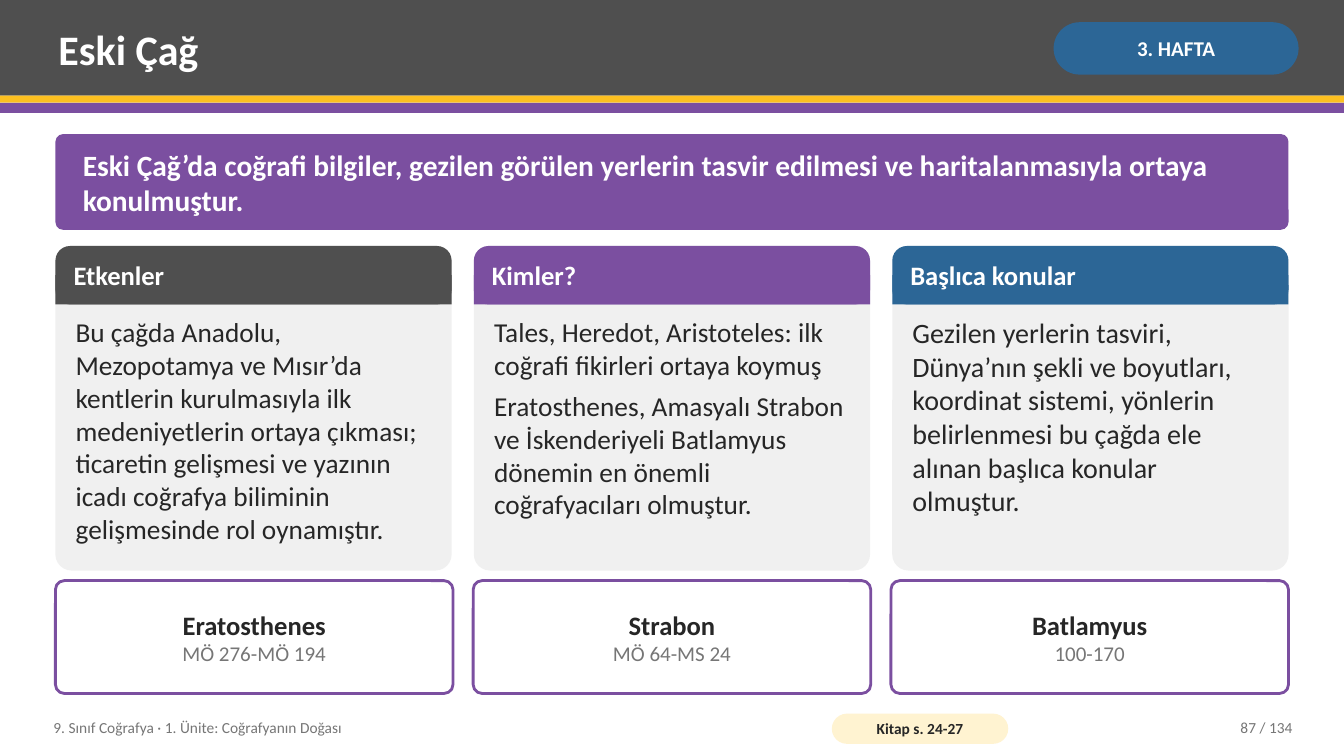
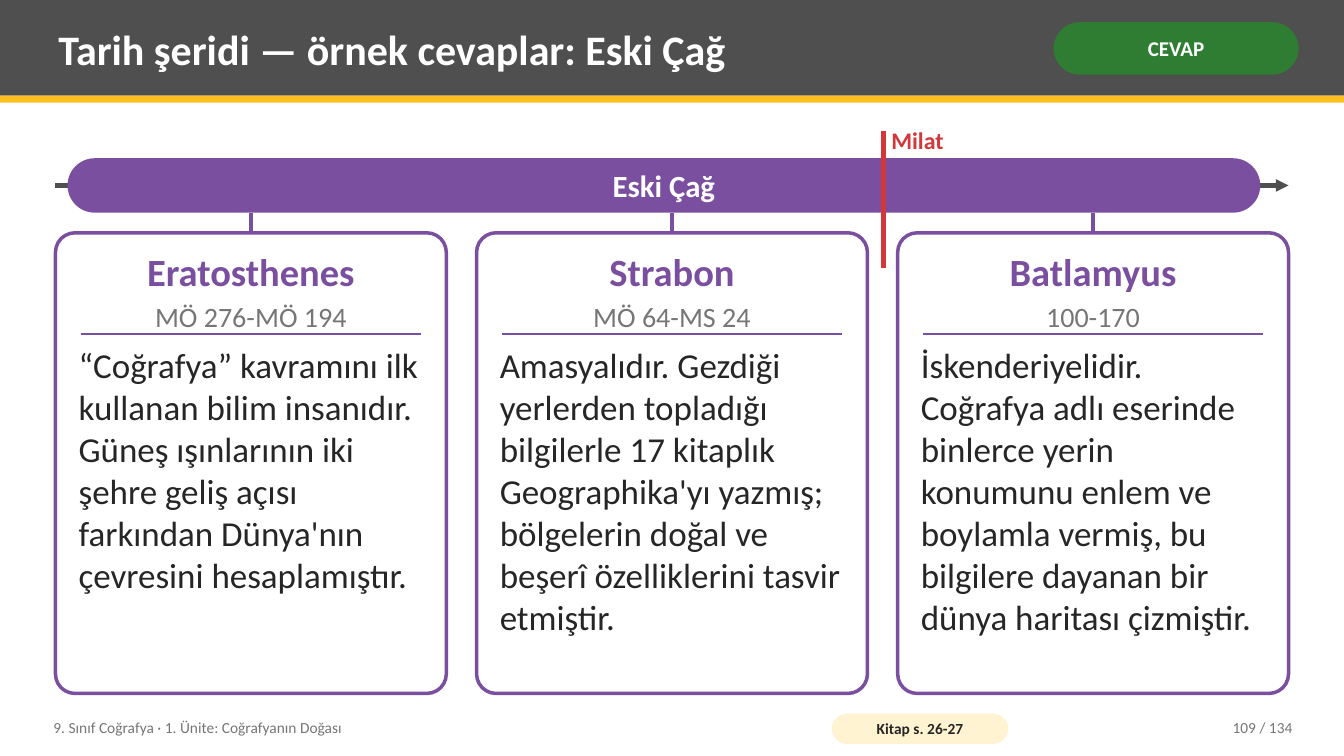
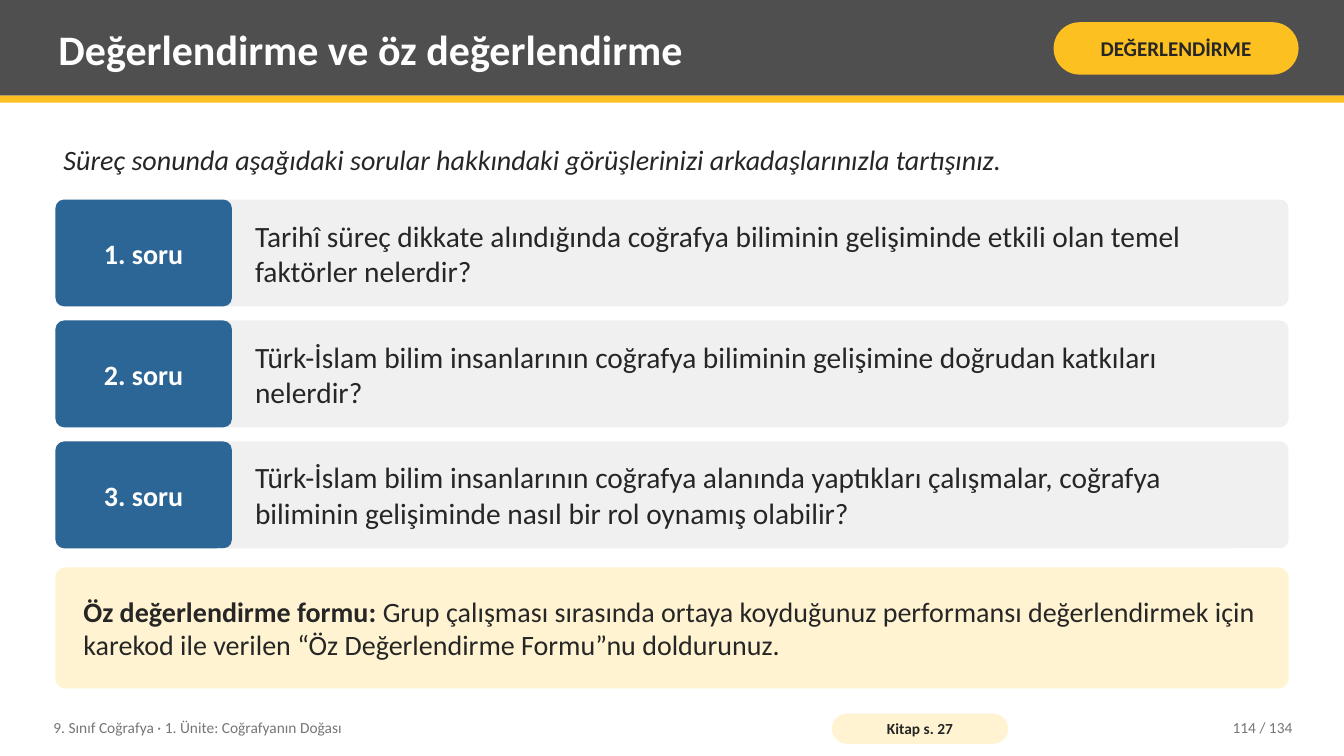
from pptx import Presentation
from pptx.dml.color import RGBColor
from pptx.enum.shapes import MSO_CONNECTOR as Connector, MSO_SHAPE as Preset
from pptx.enum.text import MSO_ANCHOR as Anchor, PP_ALIGN as Align
from pptx.oxml.ns import qn
from pptx.util import Inches, Pt
from lxml.etree import SubElement

COLORS = {
    "gray": "4F4F4F", "yellow": "FCC021", "purple": "7B4FA0", "blue": "2C6696",
    "green": "2E7D32", "red": "D3373A", "white": "FFFFFF", "ink": "262626",
    "muted": "767676", "panel": "F0F0F0", "cream": "FFF3D1",
}
FONT = "Calibri"
WIDTH, HEIGHT = 13.33, 7.5
LEFT, SPAN = 0.55, 12.23
UNIT = "9. Sınıf Coğrafya · 1. Ünite: Coğrafyanın Doğası"
PAGE_TOTAL = 134
SCHOLARS = [
    ("Eratosthenes", "MÖ 276-MÖ 194"),
    ("Strabon", "MÖ 64-MS 24"),
    ("Batlamyus", "100-170"),
]


def color(name):
    return RGBColor.from_string(COLORS[name])


def columns(gap, count=3):
    width = (SPAN - gap * (count - 1)) / count
    return [(LEFT + index * (width + gap), width) for index in range(count)]


class Lesson:
    """Holds the lesson style and the page being drawn."""

    def __init__(self):
        self.deck = Presentation()
        self.deck.slide_width = Inches(WIDTH)
        self.deck.slide_height = Inches(HEIGHT)
        self.page = None

    def start(self, title, tag, tag_fill, book_pages, number, tag_color="white"):
        self.page = self.deck.slides.add_slide(self.deck.slide_layouts[6])
        self.shape(0, 0, WIDTH, 0.95, "gray")
        self.shape(0, 0.95, WIDTH, 0.07, "yellow")
        self.text(0.5, 0.07, 9.75, 0.82, title, 30, "white", bold=True)
        badge = self.shape(10.45, 0.22, 2.43, 0.52, tag_fill, 0.5)
        self.label(badge, tag, 15, tag_color, bold=True, align=Align.CENTER, inset=(0.05, 0.02))
        self.text(0.45, 7.04, 7.6, 0.36, UNIT, 11, "muted")
        source = self.shape(8.25, 7.08, 1.75, 0.3, "cream", 0.5)
        self.label(source, f"Kitap s. {book_pages}", 11, "ink", bold=True,
                   align=Align.CENTER, inset=(0.04, 0))
        self.text(11.3, 7.04, 1.6, 0.36, f"{number} / {PAGE_TOTAL}", 11, "muted", align=Align.RIGHT)

    def shape(self, left, top, width, height, fill, radius=None, line=None, weight=2):
        preset = Preset.RECTANGLE if radius is None else Preset.ROUNDED_RECTANGLE
        box = self.page.shapes.add_shape(
            preset, Inches(left), Inches(top), Inches(width), Inches(height))
        box.shadow.inherit = False
        if radius is not None:
            box.adjustments[0] = radius
        box.fill.solid()
        box.fill.fore_color.rgb = color(fill)
        if line:
            box.line.color.rgb = color(line)
            box.line.width = Pt(weight)
        else:
            box.line.fill.background()
        return box

    def text(self, left, top, width, height, content, size, ink, **options):
        box = self.page.shapes.add_textbox(
            Inches(left), Inches(top), Inches(width), Inches(height))
        return self.label(box, content, size, ink, **options)

    def label(self, box, content, size, ink, bold=False, italic=False, align=Align.LEFT,
              anchor=Anchor.MIDDLE, inset=(0.08, 0.04), space_after=0):
        frame = box.text_frame
        frame.text = content
        frame.word_wrap = True
        frame.vertical_anchor = anchor
        frame.margin_left = frame.margin_right = Inches(inset[0])
        frame.margin_top = frame.margin_bottom = Inches(inset[1])
        for para in frame.paragraphs:
            para.alignment = align
            for span in para.runs:
                self.style(span, size, ink, bold, italic)
        for para in frame.paragraphs[:-1]:
            para.space_after = Pt(space_after)
        return box

    def style(self, span, size, ink, bold=False, italic=False):
        span.font.name = FONT
        span.font.size = Pt(size)
        span.font.bold = bold
        span.font.italic = italic
        span.font.color.rgb = color(ink)

    def line(self, start, end, ink, weight, arrow=False):
        connector = self.page.shapes.add_connector(
            Connector.STRAIGHT, *(Inches(value) for value in (*start, *end)))
        connector.line.color.rgb = color(ink)
        connector.line.width = Pt(weight)
        properties = connector._element.spPr
        if arrow:
            SubElement(properties.find(qn("a:ln")), qn("a:tailEnd"), type="triangle")
        SubElement(properties, qn("a:effectLst"))

    def panel(self, left, width, heading, fill, body, size):
        top, head = 2.44, 0.58
        self.shape(left, top, width, 3.22, "panel", 0.05)
        self.shape(left, top, width, head, fill, 0.25)
        self.shape(left, top + head / 2, width, head / 2, fill)
        self.text(left + 0.1, top, width - 0.2, head, heading, 19, "white", bold=True)
        self.text(left + 0.12, 3.09, width - 0.24, 2.48, body, size, "ink",
                  anchor=Anchor.TOP, space_after=5.8)

    def name_card(self, left, width, name, years):
        card = self.shape(left, 5.76, width, 1.12, "white", 0.08, "purple")
        self.label(card, f"{name}\n{years}", 19, "ink", bold=True,
                   align=Align.CENTER, inset=(0.14, 0.08))
        self.style(card.text_frame.paragraphs[1].runs[0], 15, "muted")

    def scholar(self, left, width, name, years, body):
        top, center = 2.31, left + width / 2
        self.line((center, 2.11), (center, top), "purple", 2.5)
        self.shape(left, top, width, 4.57, "white", 0.05, "purple", 2.5)
        self.text(left + 0.1, 2.41, width - 0.2, 0.55, name, 27.5, "purple",
                  bold=True, align=Align.CENTER, inset=(0.08, 0))
        self.text(left + 0.1, 2.96, width - 0.2, 0.36, years, 20, "muted",
                  align=Align.CENTER, inset=(0.08, 0))
        self.line((left + 0.25, 3.31), (left + width - 0.25, 3.31), "purple", 1.5)
        self.text(left + 0.15, 3.39, width - 0.3, 3.39, body, 25, "ink",
                  anchor=Anchor.TOP, inset=(0.08, 0.02))

    def question(self, top, heading, body):
        height = 1.06
        self.shape(LEFT, top, SPAN, height, "panel", 0.08)
        tab = self.shape(LEFT, top, 1.75, height, "blue", 0.08)
        self.label(tab, heading, 20, "white", bold=True, align=Align.CENTER, inset=(0.06, 0.08))
        self.text(2.45, top, 10.23, height, body, 21, "ink")


def ancient_age(lesson):
    lesson.start("Eski Çağ", "3. HAFTA", "blue", "24-27", 87)
    lesson.shape(0, 1.02, WIDTH, 0.1, "purple")
    banner = lesson.shape(LEFT, 1.33, SPAN, 0.95, "purple", 0.08)
    lesson.label(banner, "Eski Çağ’da coğrafi bilgiler, gezilen görülen yerlerin tasvir edilmesi "
                 "ve haritalanmasıyla ortaya konulmuştur.", 21, "white", bold=True,
                 inset=(0.25, 0.08))
    panels = [
        ("Etkenler", "gray",
         "Bu çağda Anadolu, Mezopotamya ve Mısır’da kentlerin kurulmasıyla ilk medeniyetlerin "
         "ortaya çıkması; ticaretin gelişmesi ve yazının icadı coğrafya biliminin gelişmesinde "
         "rol oynamıştır.", 19.5),
        ("Kimler?", "purple",
         "Tales, Heredot, Aristoteles: ilk coğrafi fikirleri ortaya koymuş\n"
         "Eratosthenes, Amasyalı Strabon ve İskenderiyeli Batlamyus dönemin en önemli "
         "coğrafyacıları olmuştur.", 19.5),
        ("Başlıca konular", "blue",
         "Gezilen yerlerin tasviri, Dünya’nın şekli ve boyutları, koordinat sistemi, yönlerin "
         "belirlenmesi bu çağda ele alınan başlıca konular olmuştur.", 20),
    ]
    for column, panel in zip(columns(0.22), panels):
        lesson.panel(*column, *panel)
    for column, scholar in zip(columns(0.2), SCHOLARS):
        lesson.name_card(*column, *scholar)


def timeline(lesson):
    lesson.start("Tarih şeridi — örnek cevaplar: Eski Çağ", "CEVAP", "green", "26-27", 109)
    lesson.line((LEFT, 1.84), (LEFT + SPAN, 1.84), "gray", 3, arrow=True)
    era = lesson.shape(0.67, 1.57, 11.83, 0.54, "purple", 0.5)
    lesson.label(era, "Eski Çağ", 22, "white", bold=True, align=Align.CENTER, inset=(0.14, 0))
    works = [
        "“Coğrafya” kavramını ilk kullanan bilim insanıdır. Güneş ışınlarının iki şehre geliş "
        "açısı farkından Dünya'nın çevresini hesaplamıştır.",
        "Amasyalıdır. Gezdiği yerlerden topladığı bilgilerle 17 kitaplık Geographika'yı yazmış; "
        "bölgelerin doğal ve beşerî özelliklerini tasvir etmiştir.",
        "İskenderiyelidir. Coğrafya adlı eserinde binlerce yerin konumunu enlem ve boylamla "
        "vermiş, bu bilgilere dayanan bir dünya haritası çizmiştir.",
    ]
    for column, scholar, work in zip(columns(0.3), SCHOLARS, works):
        lesson.scholar(*column, *scholar, work)
    lesson.line((8.76, 1.3), (8.76, 2.66), "red", 3.5)
    lesson.text(8.84, 1.24, 1.1, 0.3, "Milat", 17, "red", bold=True, inset=(0, 0))


def evaluation(lesson):
    lesson.start("Değerlendirme ve öz değerlendirme", "DEĞERLENDİRME", "yellow", "27", 114, "ink")
    lesson.text(LEFT, 1.28, SPAN, 0.6, "Süreç sonunda aşağıdaki sorular hakkındaki görüşlerinizi "
                "arkadaşlarınızla tartışınız.", 20, "ink", italic=True)
    questions = [
        "Tarihî süreç dikkate alındığında coğrafya biliminin gelişiminde etkili olan temel "
        "faktörler nelerdir?",
        "Türk-İslam bilim insanlarının coğrafya biliminin gelişimine doğrudan katkıları nelerdir?",
        "Türk-İslam bilim insanlarının coğrafya alanında yaptıkları çalışmalar, coğrafya "
        "biliminin gelişiminde nasıl bir rol oynamış olabilir?",
    ]
    for index, body in enumerate(questions):
        lesson.question(1.98 + index * 1.2, f"{index + 1}. soru", body)
    form = lesson.shape(LEFT, 5.63, SPAN, 1.2, "cream", 0.08)
    lesson.label(form, "Öz değerlendirme formu:", 20, "ink", bold=True, inset=(0.25, 0.08))
    span = form.text_frame.paragraphs[0].add_run()
    span.text = (" Grup çalışması sırasında ortaya koyduğunuz performansı değerlendirmek için "
                 "karekod ile verilen “Öz Değerlendirme Formu”nu doldurunuz.")
    lesson.style(span, 20, "ink")


def main():
    lesson = Lesson()
    ancient_age(lesson)
    timeline(lesson)
    evaluation(lesson)
    lesson.deck.save("out.pptx")


if __name__ == "__main__":
    main()
